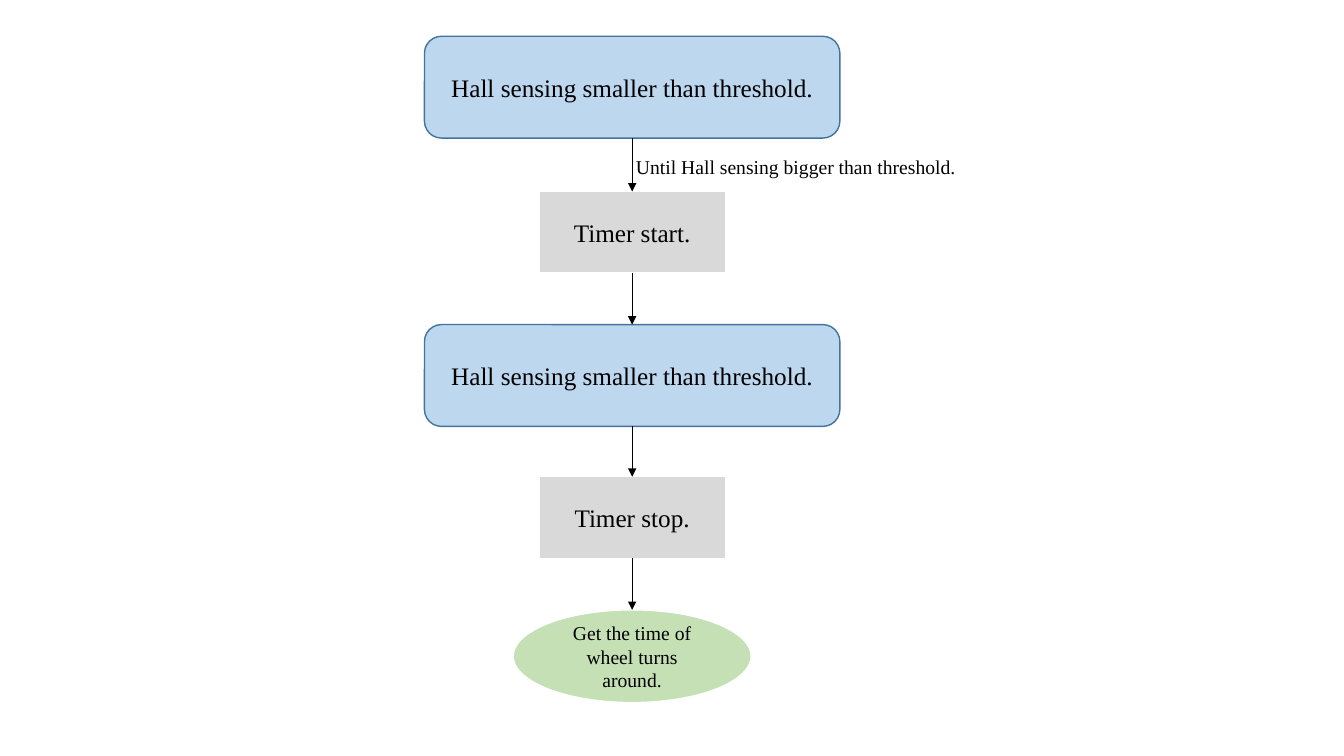
from lxml import etree
from pptx import Presentation
from pptx.dml.color import RGBColor
from pptx.enum import shapes, text
from pptx.oxml.ns import qn
from pptx.util import Inches, Pt

CENTER = 6.27
BLACK = "000000"
BOTTOM, TOP = 2, 0

# kind: preset shape, width, height, fill, outline, text size
STYLES = {
    "condition": (shapes.MSO_SHAPE.ROUNDED_RECTANGLE, 4.12, 1.01, "BDD7EE", "43739E", 18),
    "action": (shapes.MSO_SHAPE.RECTANGLE, 1.85, 0.81, "D9D9D9", "FFFFFF", 18),
    "result": (shapes.MSO_SHAPE.OVAL, 2.36, 0.92, "C5E0B4", "FFFFFF", 14),
}

# kind, top, wording
STEPS = [
    ("condition", 0.36, "Hall sensing smaller than threshold."),
    ("action", 1.9, "Timer start."),
    ("condition", 3.22, "Hall sensing smaller than threshold."),
    ("action", 4.73, "Timer stop."),
    ("result", 6.05, "Get the time of wheel turns around."),
]


def color(value):
    return RGBColor.from_string(value)


def write(shape, wording, size, alignment):
    paragraph = shape.text_frame.paragraphs[0]
    paragraph.text = wording
    paragraph.alignment = alignment
    font = paragraph.runs[0].font
    font.name = "Times New Roman"
    font.size = Pt(size)
    font.color.rgb = color(BLACK)


def add_step(slide, kind, top, wording):
    preset, width, height, fill, outline, size = STYLES[kind]
    shape = slide.shapes.add_shape(preset, Inches(CENTER - width / 2), Inches(top),
                                   Inches(width), Inches(height))
    shape.shadow.inherit = False
    shape.fill.solid()
    shape.fill.fore_color.rgb = color(fill)
    shape.line.color.rgb = color(outline)
    shape.line.width = Pt(1)
    shape.text_frame.word_wrap = True
    shape.text_frame.vertical_anchor = text.MSO_ANCHOR.MIDDLE
    write(shape, wording, size, text.PP_ALIGN.CENTER)
    return shape


def add_arrow(slide, start, end):
    arrow = slide.shapes.add_connector(shapes.MSO_CONNECTOR.STRAIGHT, 0, 0, 0, 0)
    arrow.begin_connect(start, BOTTOM)
    arrow.end_connect(end, TOP)
    arrow.line.color.rgb = color(BLACK)
    arrow.line.width = Pt(0.5)
    etree.SubElement(arrow.line._get_or_add_ln(), qn("a:tailEnd"), type="triangle")
    etree.SubElement(arrow._element.spPr, qn("a:effectLst"))


def add_label(slide, left, top, width, height, wording):
    label = slide.shapes.add_textbox(Inches(left), Inches(top), Inches(width), Inches(height))
    label.text_frame.word_wrap = False
    label.text_frame.auto_size = text.MSO_AUTO_SIZE.SHAPE_TO_FIT_TEXT
    write(label, wording, 14, text.PP_ALIGN.LEFT)


def main():
    presentation = Presentation()
    presentation.slide_width = Inches(13.33)
    presentation.slide_height = Inches(7.5)
    slide = presentation.slides.add_slide(presentation.slide_layouts[6])

    # Flow from top to bottom
    steps = [add_step(slide, *step) for step in STEPS]
    for start, end in zip(steps, steps[1:]):
        add_arrow(slide, start, end)

    # Condition beside the first arrow
    add_label(slide, 6.21, 1.49, 3.4, 0.34, "Until Hall sensing bigger than threshold.")

    presentation.save("out.pptx")


if __name__ == "__main__":
    main()
